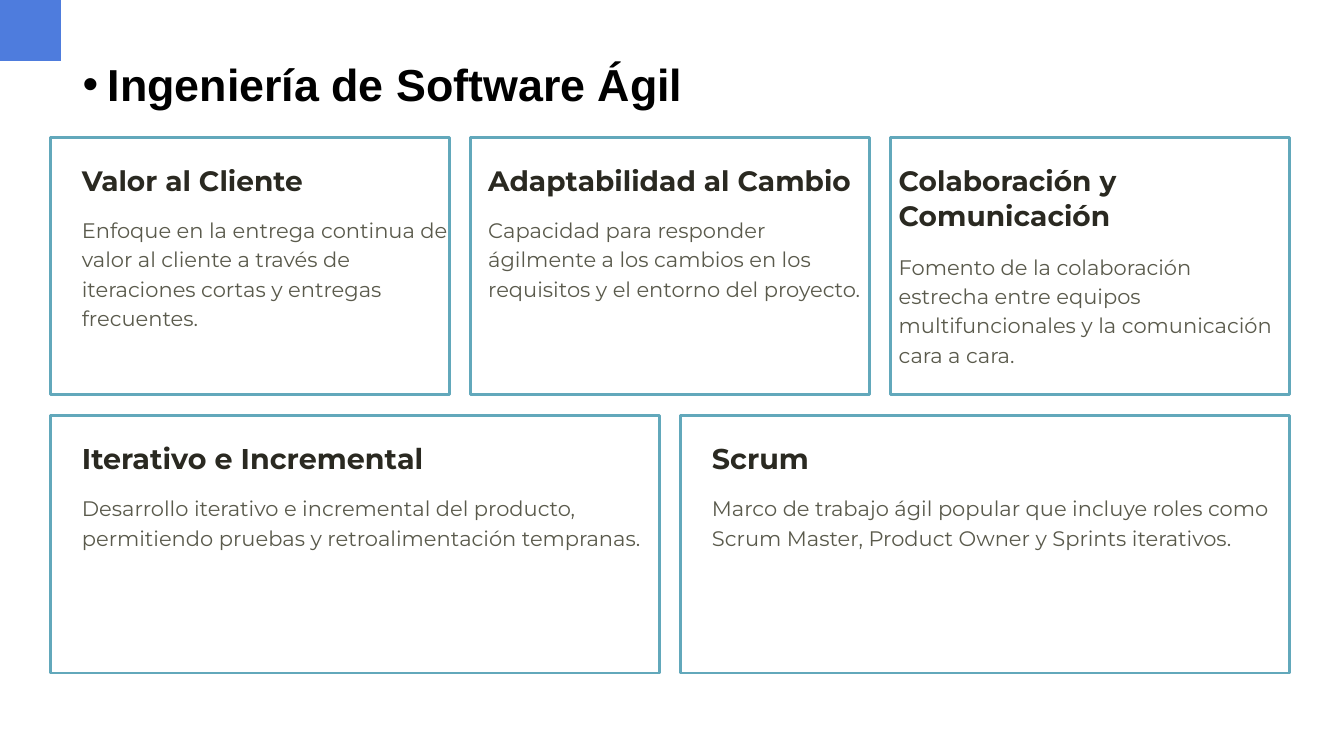
from lxml import etree
from pptx import Presentation
from pptx.dml.color import RGBColor
from pptx.enum.shapes import MSO_SHAPE
from pptx.enum.text import MSO_ANCHOR, MSO_AUTO_SIZE, PP_ALIGN
from pptx.oxml.ns import qn
from pptx.util import Pt

PX = 9525  # EMU per px, 96 px to the inch
LEFT, TOP, WIDTH, CARD_H, GAP = 48, 131, 1180, 245, 20

# Each row: heading size, text width, cards.
# Each card: heading, body, text inset, body offset.
ROWS = [
    (20, 363, [
        ("Valor al Cliente",
         "Enfoque en la entrega continua de valor al cliente a través de "
         "iteraciones cortas y entregas frecuentes.", 30, 72),
        ("Adaptabilidad al Cambio",
         "Capacidad para responder ágilmente a los cambios en los "
         "requisitos y el entorno del proyecto.", 17, 72),
        ("Colaboración y Comunicación",
         "Fomento de la colaboración estrecha entre equipos "
         "multifuncionales y la comunicación cara a cara.", 8, 107),
    ]),
    (20.4, 583, [
        ("Iterativo e Incremental",
         "Desarrollo iterativo e incremental del producto, permitiendo "
         "pruebas y retroalimentación tempranas.", 30, 72),
        ("Scrum",
         "Marco de trabajo ágil popular que incluye roles como Scrum "
         "Master, Product Owner y Sprints iterativos.", 30, 72),
    ]),
]


def px(*lengths):
    return [n * PX for n in lengths]


def rgb(color):
    return RGBColor.from_string(color)


def add_rect(s, box, fill=None, line=None):
    sp = s.shapes.add_shape(MSO_SHAPE.RECTANGLE, *px(*box))
    sp.shadow.inherit = False
    if fill:
        sp.fill.solid()
        sp.fill.fore_color.rgb = rgb(fill)
    else:
        sp.fill.background()
    if line:
        sp.line.color.rgb = rgb(line)
        sp.line.width = Pt(2)
    else:
        sp.line.fill.background()


def write(p, text, size, color, font="Montserrat", bold=False, spacing=None):
    p.alignment = PP_ALIGN.LEFT
    p.line_spacing = spacing
    p.space_before = Pt(0)
    r = p.add_run()
    r.text = text
    r.font.size, r.font.name, r.font.bold = Pt(size), font, bold
    r.font.color.rgb = rgb(color)


def add_text(s, box, text, **fmt):
    tf = s.shapes.add_textbox(*px(*box)).text_frame
    tf.word_wrap = True
    tf.margin_left = tf.margin_top = tf.margin_right = tf.margin_bottom = 0
    write(tf.paragraphs[0], text, **fmt)


def add_title(s, box, text):
    title = s.shapes.title
    title.left, title.top, title.width, title.height = px(*box)
    tf = title.text_frame
    tf.word_wrap = True
    tf.auto_size = MSO_AUTO_SIZE.NONE
    tf.vertical_anchor = MSO_ANCHOR.MIDDLE
    p = tf.paragraphs[0]
    pPr = p._p.get_or_add_pPr()
    pPr.set("marL", str(24 * PX))
    pPr.set("indent", str(-24 * PX))
    etree.SubElement(pPr, qn("a:buFont")).set("typeface", "Arial")
    etree.SubElement(pPr, qn("a:buChar")).set("char", "•")
    write(p, text, 32, "000000", font="Arial", bold=True, spacing=0.9)


def add_card(s, box, card, size, text_w):
    x, y, w, h = box
    heading, body, inset, body_dy = card
    add_rect(s, box, line="62A8BB")
    add_text(s, (x + inset, y + 22, text_w, body_dy - 37), heading,
             size=size, color="2A2921", bold=True, spacing=Pt(25.7))
    add_text(s, (x + inset, y + body_dy, text_w, 112), body,
             size=15, color="5A5A4C", spacing=Pt(21))


def add_card_row(s, box, size, text_w, cards):
    x, y, w, h = box
    card_w = (w - GAP * (len(cards) - 1)) // len(cards)
    for i, card in enumerate(cards):
        add_card(s, (x + i * (card_w + GAP), y, card_w, h), card, size, text_w)


def main():
    prs = Presentation()
    prs.slide_width, prs.slide_height = px(1280, 720)
    s = prs.slides.add_slide(prs.slide_layouts[5])
    add_rect(s, (0, 0, 58, 58), fill="4E7CDD")
    add_title(s, (69, 58, 661, 49), "Ingeniería de Software Ágil")
    for i, row in enumerate(ROWS):
        add_card_row(s, (LEFT, TOP + i * (CARD_H + GAP), WIDTH, CARD_H), *row)
    prs.save("out.pptx")


if __name__ == "__main__":
    main()
